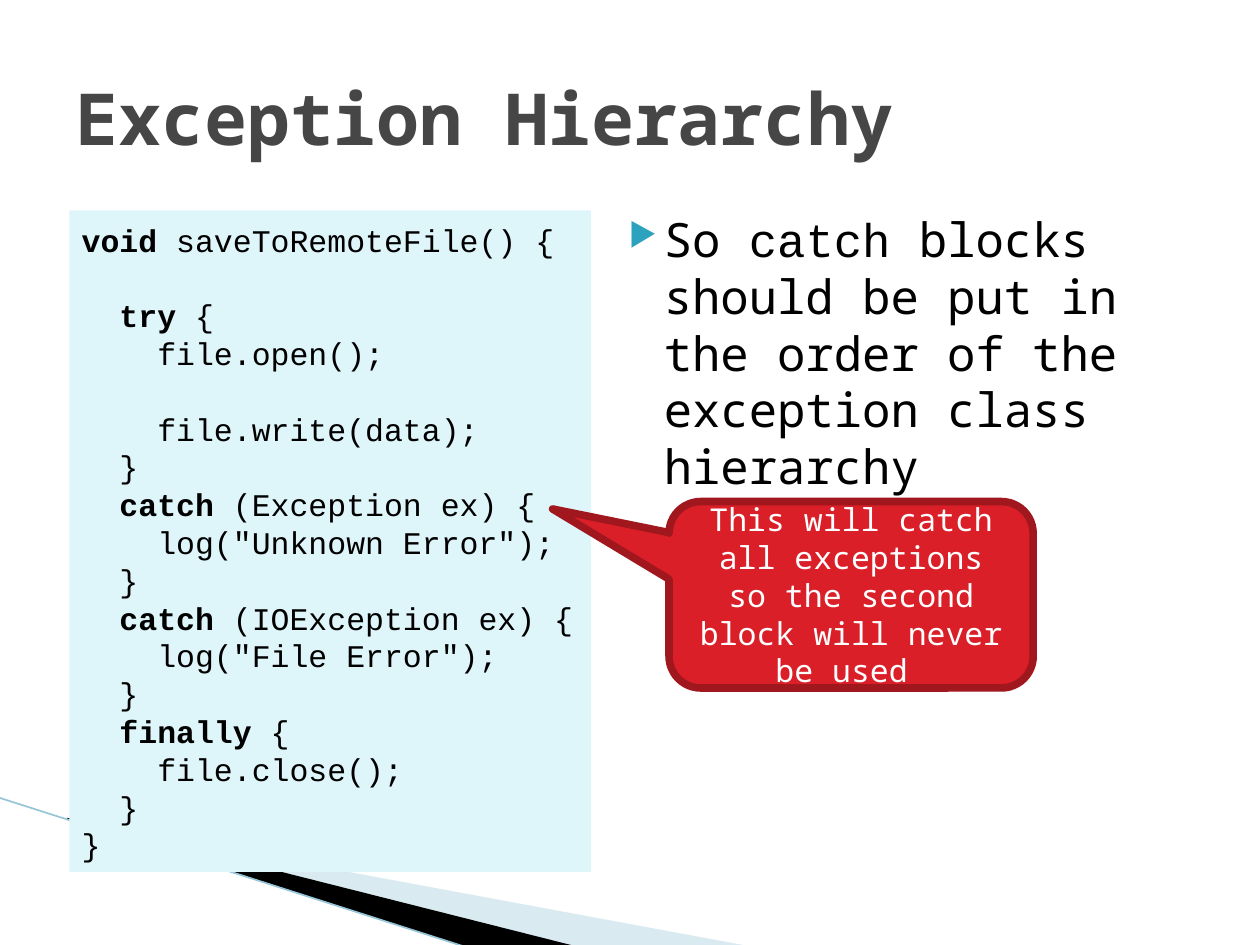
from dataclasses import dataclass

from lxml.etree import SubElement
from pptx import Presentation
from pptx.dml.color import RGBColor
from pptx.enum.shapes import MSO_CONNECTOR as Connector, MSO_SHAPE as Shape
from pptx.enum.text import MSO_ANCHOR as Anchor, PP_ALIGN as Align
from pptx.oxml.ns import qn
from pptx.util import Inches, Pt


@dataclass(frozen=True)
class Theme:
    """Colours, fonts and type sizes of the slide."""
    text: str = "000000"
    title: str = "464646"
    accent: str = "2DA2BF"
    panel: str = "DEF5FA"
    callout: str = "DA1F28"
    callout_line: str = "A1171E"
    callout_text: str = "FFFFFF"
    wave: str = "A0CBDC"
    wave_line: str = "97C5D8"
    sans: str = "Noto Sans Mono"
    mono: str = "Courier New"
    title_size: float = 41
    body_size: float = 27
    small_size: float = 18
    code_pitch: float = 21.6


THEME = Theme()
WIDTH, HEIGHT = Inches(10), Inches(7.5)
KEYWORDS = ("void", "try", "catch", "finally")
CODE = """void saveToRemoteFile() {

  try {
    file.open();

    file.write(data);
  }
  catch (Exception ex) {
    log("Unknown Error");
  }
  catch (IOException ex) {
    log("File Error");
  }
  finally {
    file.close();
  }
}"""


def at(x, y):
    """Turn percentages of the slide's size into a position."""
    return round(WIDTH * x / 100), round(HEIGHT * y / 100)


def style(run, size, color, font=THEME.sans, bold=False):
    """Format one run."""
    run.font.size, run.font.name, run.font.bold = Pt(size), font, bold
    run.font.color.rgb = RGBColor.from_string(color)


def paint(shape, fill, line=None, width=0, opacity=100):
    """Set fill, outline and opacity, and drop the shadow."""
    shape.shadow.inherit = False
    shape.fill.solid()
    shape.fill.fore_color.rgb = RGBColor.from_string(fill)
    if opacity < 100:
        color = shape.fill._xPr.find(".//" + qn("a:srgbClr"))
        SubElement(color, qn("a:alpha"), val=str(opacity * 1000))
    if line:
        shape.line.color.rgb = RGBColor.from_string(line)
        shape.line.width = Pt(width)
    else:
        shape.line.fill.background()


def add_wave(slide, points, fill, opacity=100):
    """Add a filled outline through the given points."""
    start, *rest = [at(*point) for point in points]
    builder = slide.shapes.build_freeform(*start)
    builder.add_line_segments(rest)
    paint(builder.convert_to_shape(), fill, opacity=opacity)


def add_edge(slide, start, end):
    """Add the thin line beside the waves."""
    edge = slide.shapes.add_connector(Connector.STRAIGHT, *at(*start), *at(*end))
    edge.line.color.rgb = RGBColor.from_string(THEME.wave_line)
    edge.line.width = Pt(0.95)
    SubElement(edge._element.spPr, qn("a:effectLst"))


def add_text(slide, position, size, anchor=Anchor.TOP):
    """Add a wrapping text box and return its frame."""
    frame = slide.shapes.add_textbox(*at(*position), *at(*size)).text_frame
    frame.word_wrap, frame.vertical_anchor = True, anchor
    return frame


def add_title(slide, text):
    """Add the slide title."""
    frame = add_text(slide, (5, 4), (90, 16.67), Anchor.MIDDLE)
    frame.text = text
    style(frame.paragraphs[0].runs[0], THEME.title_size, THEME.title, bold=True)


def add_bullet(slide, pieces):
    """Add the bulleted statement from (text, font) pieces."""
    paragraph = add_text(slide, (47.7, 21.6), (47.3, 71.07)).paragraphs[0]
    properties = paragraph._p.get_or_add_pPr()
    properties.set("marL", str(Inches(0.4)))
    properties.set("indent", str(Inches(-0.28)))
    color = SubElement(properties, qn("a:buClr"))
    SubElement(color, qn("a:srgbClr"), val=THEME.accent)
    SubElement(properties, qn("a:buSzPct"), val="68000")
    SubElement(properties, qn("a:buChar"), char="▶")
    for text, font in pieces:
        run = paragraph.add_run()
        run.text = text
        style(run, THEME.body_size, THEME.text, font)


def add_code(slide, code):
    """Add the code panel with bold keywords."""
    panel = slide.shapes.add_shape(Shape.RECTANGLE, *at(5.5, 22.27), *at(41.4, 70))
    paint(panel, THEME.panel)
    frame = panel.text_frame
    frame.word_wrap, frame.vertical_anchor = True, Anchor.TOP
    frame.margin_top = Inches(0.08)
    paragraph, gap = frame.paragraphs[0], 0
    for line in code.splitlines():
        if not line:
            gap += THEME.code_pitch
            continue
        if paragraph.runs:
            paragraph = frame.add_paragraph()
        paragraph.alignment = Align.LEFT
        paragraph.line_spacing = Pt(THEME.code_pitch)
        if gap:
            paragraph.space_before, gap = Pt(gap), 0
        word = line.split()[0]
        pieces = line.partition(word) if word in KEYWORDS else (line,)
        for piece in filter(None, pieces):
            run = paragraph.add_run()
            run.text = piece
            style(run, THEME.small_size, THEME.text, THEME.mono, piece in KEYWORDS)


def add_callout(slide, text):
    """Add the speech bubble that points at the first handler."""
    callout = slide.shapes.add_shape(
        Shape.ROUNDED_RECTANGULAR_CALLOUT, *at(53.1, 53.07), *at(28.9, 19.73))
    for index, value in enumerate((-0.82, -0.46, 0.17)):
        callout.adjustments[index] = value
    paint(callout, THEME.callout, THEME.callout_line, 4.33)
    frame = callout.text_frame
    frame.text, frame.word_wrap = text, True
    frame.vertical_anchor = Anchor.MIDDLE
    frame.paragraphs[0].alignment = Align.CENTER
    style(frame.paragraphs[0].runs[0], THEME.small_size, THEME.callout_text)


def main():
    """Build and save the slide."""
    presentation = Presentation()
    presentation.slide_width, presentation.slide_height = WIDTH, HEIGHT
    slide = presentation.slides.add_slide(presentation.slide_layouts[6])
    add_wave(slide, [(5.5, 86.8), (59.5, 100.13), (45.6, 100.13), (5.5, 86.67)],
             THEME.wave, opacity=40)
    add_wave(slide, [(5.3, 86.53), (45.7, 100.13), (37.2, 100.27), (5.4, 86.67)],
             THEME.text)
    add_edge(slide, (-0.1, 84.4), (37.1, 100.27))
    add_bullet(slide, [
        ("So ", THEME.sans),
        ("catch", THEME.mono),
        (" blocks should be put in the order of the exception class hierarchy",
         THEME.sans),
    ])
    add_title(slide, "Exception Hierarchy")
    add_code(slide, CODE)
    add_callout(slide, "This will catch all exceptions so the second block "
                       "will never be used ")
    presentation.save("out.pptx")


if __name__ == "__main__":
    main()
